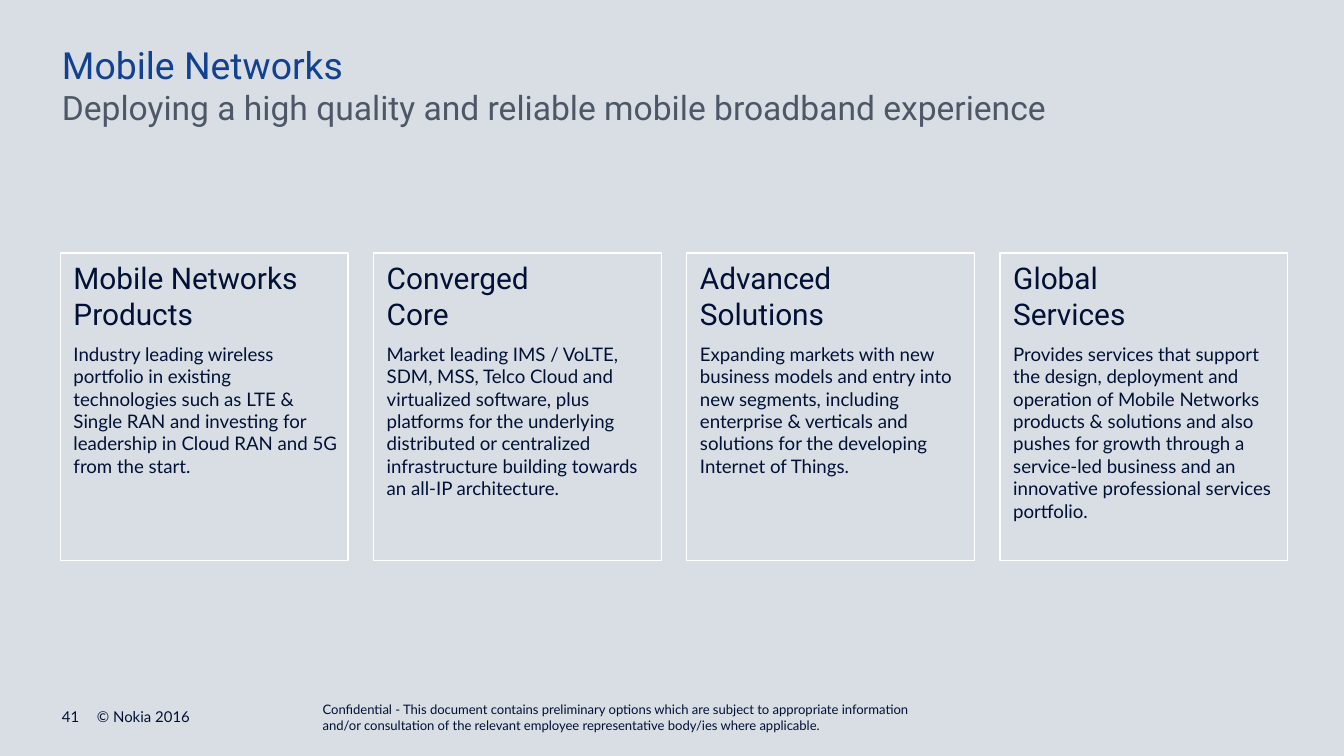
from pptx import Presentation
from pptx.dml.color import RGBColor
from pptx.enum import shapes, text as txt
from pptx.oxml.xmlchemy import OxmlElement
from pptx.util import Cm, Pt

BACKGROUND = RGBColor(0xD8, 0xDE, 0xE4)
NAVY = RGBColor(0x00, 0x11, 0x35)
BLUE = RGBColor(0x12, 0x41, 0x91)
GREY = RGBColor(0x4D, 0x57, 0x66)
WHITE = RGBColor(0xFF, 0xFF, 0xFF)


def write(para, words, size=10, face="Lato", color=NAVY, before=0):
    """Fill one left-aligned paragraph with formatted text."""
    para.text = words
    para.alignment = txt.PP_ALIGN.LEFT
    para.space_before = Pt(before)
    para.font.size = Pt(size)
    para.font.name = face
    para.font.color.rgb = color


def set_frame(box, anchor, margins=(0, 0, 0, 0)):
    """Set wrapping, anchor and left, top, right, bottom margins in cm."""
    frame = box.text_frame
    frame.word_wrap = True
    frame.auto_size = txt.MSO_AUTO_SIZE.NONE
    frame.vertical_anchor = anchor
    (frame.margin_left, frame.margin_top,
     frame.margin_right, frame.margin_bottom) = [Cm(m) for m in margins]
    return frame


TOP, BOTTOM = txt.MSO_ANCHOR.TOP, txt.MSO_ANCHOR.BOTTOM

deck = Presentation()
deck.slide_width, deck.slide_height = Cm(25.4), Cm(14.29)
page = deck.slides.add_slide(deck.slide_layouts[1])
page.background.fill.solid()
page.background.fill.fore_color.rgb = BACKGROUND

# Title and subtitle
title, subtitle = page.shapes.title, page.placeholders[1]
for box, top, anchor in [(title, 0.79, BOTTOM), (subtitle, 1.65, TOP)]:
    box.left, box.top, box.width, box.height = Cm(1.17), Cm(top), Cm(23.09), Cm(0.86)
    set_frame(box, anchor)

write(title.text_frame.paragraphs[0], "Mobile Networks",
      size=20, face="Roboto", color=BLUE)

subtitle_para = subtitle.text_frame.paragraphs[0]
properties = subtitle_para._p.get_or_add_pPr()
properties.set("marL", "0")
properties.set("indent", "0")
properties.append(OxmlElement("a:buNone"))
write(subtitle_para, "Deploying a high quality and reliable mobile broadband experience",
      size=18, face="Roboto", color=GREY)

# Four business cards
cards = [
    ("Mobile Networks Products",
     "Industry leading wireless portfolio in existing technologies such as LTE & "
     "Single RAN and investing for leadership in Cloud RAN and 5G from the start."),
    ("Converged\vCore",
     "Market leading IMS / VoLTE, SDM, MSS, Telco Cloud and virtualized software, "
     "plus platforms for the underlying distributed or centralized infrastructure "
     "building towards an all-IP architecture."),
    ("Advanced\vSolutions",
     "Expanding markets with new business models and entry into new segments, "
     "including enterprise & verticals and solutions for the developing "
     "Internet of Things."),
    ("Global\vServices",
     "Provides services that support the design, deployment and operation of "
     "Mobile Networks products & solutions and also pushes for growth through a "
     "service-led business and an innovative professional services portfolio."),
]
for index, (heading, description) in enumerate(cards):
    card = page.shapes.add_shape(shapes.MSO_SHAPE.RECTANGLE,
                                 Cm(1.14 + index * 5.92), Cm(4.78), Cm(5.44), Cm(5.82))
    card.shadow.inherit = False
    card.fill.background()
    card.line.color.rgb = WHITE
    card.line.width = Pt(0.75)
    frame = set_frame(card, TOP, (0.25, 0.13, 0.2, 0.2))
    write(frame.paragraphs[0], heading, size=16, face="Roboto")
    write(frame.add_paragraph(), description, before=6)

# Footer: page number, copyright, confidentiality note
footers = [
    ("41", 8, 1.17, 13.39, 0.41, 0.33),
    ("© Nokia 2016", 8, 1.83, 13.39, 5, 0.33),
    ("Confidential - This document contains preliminary options which are subject to "
     "appropriate information and/or consultation of the relevant employee "
     "representative body/ies where applicable.", 7, 6.1, 13.28, 11.13, 0.58),
]
for words, size, left, top, width, height in footers:
    box = page.shapes.add_textbox(Cm(left), Cm(top), Cm(width), Cm(height))
    write(set_frame(box, BOTTOM).paragraphs[0], words, size=size)

deck.save("out.pptx")
